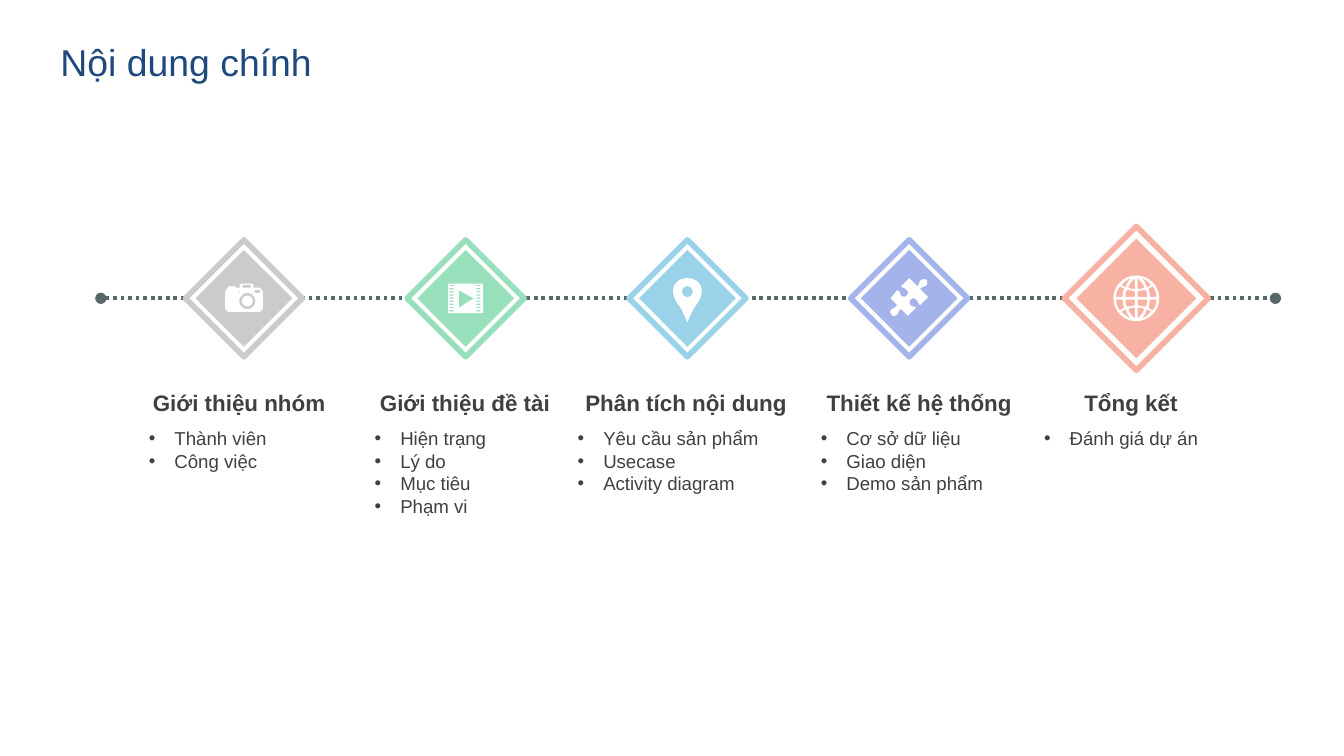
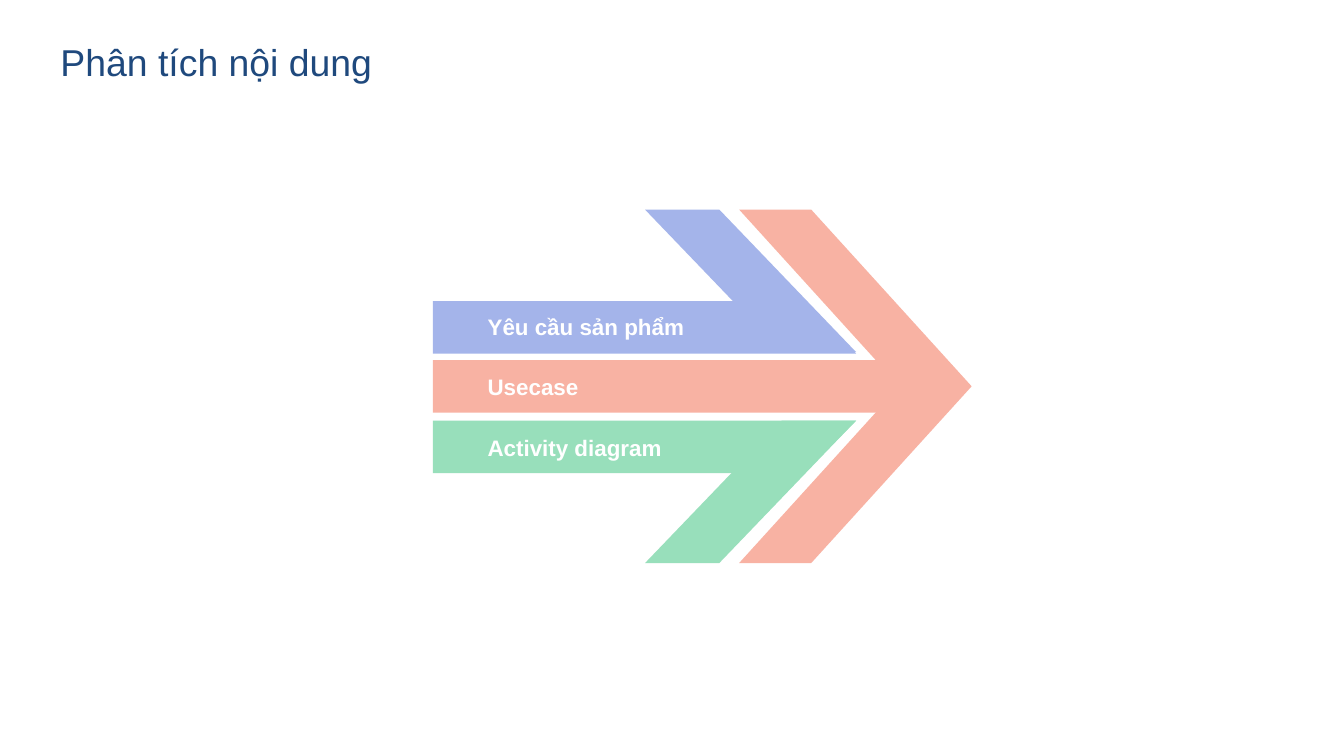
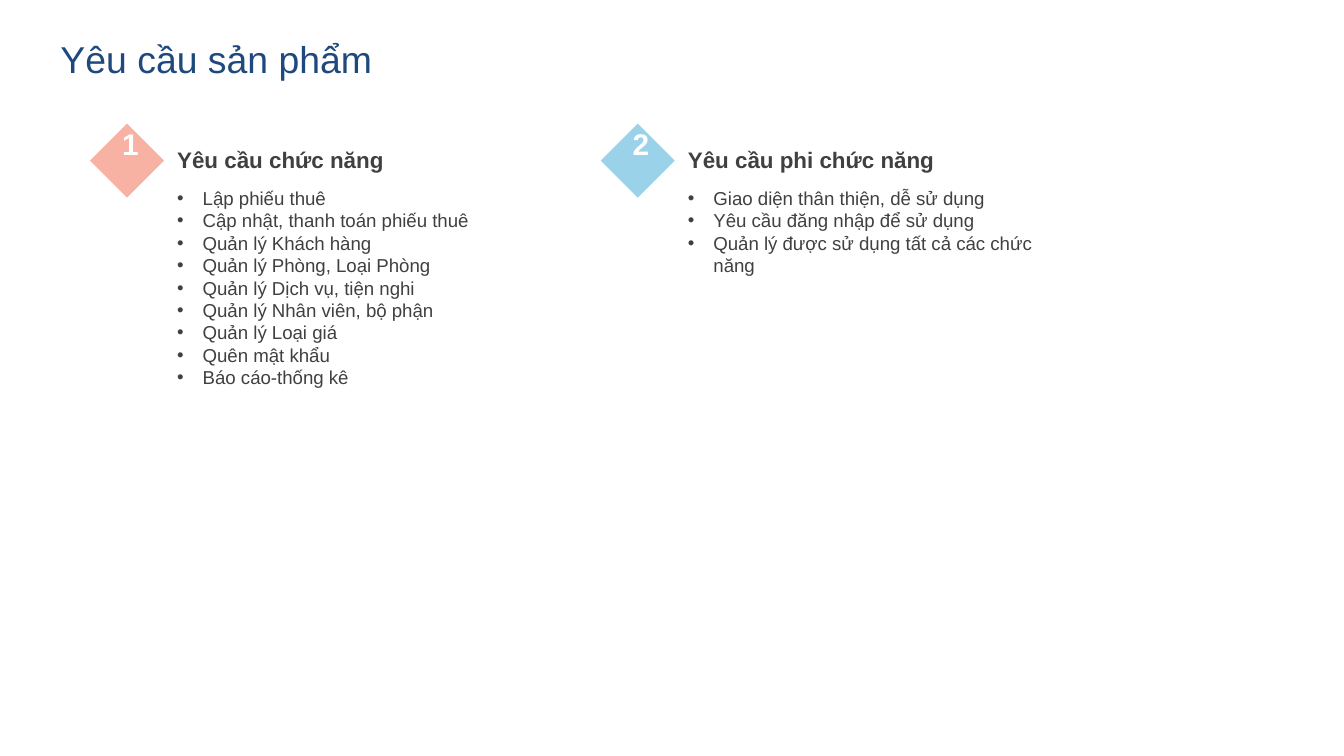
import dataclasses
import math
import typing

import pptx
import pptx.dml.color
import pptx.enum.dml
import pptx.enum.shapes
import pptx.enum.text
import pptx.oxml.ns
import pptx.oxml.xmlchemy
import pptx.util
import lxml.etree

SCALE = 9144  # EMU in a px, 100 px to the inch
FONT = "Arial"
INK = {
    "title": "1F497D", "text": "404040", "line": "576868", "white": "FFFFFF",
    "grey": "CBCBCB", "green": "98DFBB", "blue": "9AD3E9",
    "violet": "A4B4EA", "coral": "F8B2A3",
}
KIND = pptx.enum.shapes.MSO_SHAPE
ALIGN = pptx.enum.text.PP_ALIGN
Point = tuple[float, ...]  # x, y of a corner, or the six numbers of a curve
Ring = list[Point]


@dataclasses.dataclass
class Badge:
    left: int
    size: int
    core: int
    ink: str
    icon: list[Ring]


@dataclasses.dataclass
class Note:
    left: int
    width: int
    head: str
    items: list[str]


@dataclasses.dataclass
class Bar:
    label: str
    top: int


def px(val: float) -> pptx.util.Emu:
    return pptx.util.Emu(round(val * SCALE))


def rgb(ink: str) -> pptx.dml.color.RGBColor:
    return pptx.dml.color.RGBColor.from_string(INK[ink])


def add_tag(root: typing.Any, tag: str, **attrs: str) -> None:
    lxml.etree.SubElement(root, pptx.oxml.ns.qn(tag), attrs)


def style(para: typing.Any, size: int, ink: str, bold: bool = False) -> None:
    para.font.name = FONT
    para.font.size = pptx.util.Pt(size)
    para.font.bold = bold
    para.font.color.rgb = rgb(ink)


def paint(shape: typing.Any, ink: str, edge: str = "") -> None:
    shape.shadow.inherit = False
    shape.fill.solid()
    shape.fill.fore_color.rgb = rgb(ink)
    if edge:
        shape.line.color.rgb = rgb(edge)
        shape.line.width = pptx.util.Pt(3)
    else:
        shape.line.fill.background()


def add_form(slide: typing.Any, kind: KIND, left: float, top: float,
             wide: int, high: int, ink: str, edge: str = "") -> typing.Any:
    shape = slide.shapes.add_shape(kind, px(left), px(top), px(wide), px(high))
    paint(shape, ink, edge)
    return shape


def add_text(slide: typing.Any, left: int, top: int, wide: int, high: int,
             lines: list[str], size: int, ink: str, bold: bool = False,
             align: ALIGN = ALIGN.LEFT, dots: bool = False) -> typing.Any:
    frame = slide.shapes.add_textbox(px(left), px(top), px(wide), px(high)).text_frame
    frame.word_wrap = True
    frame.auto_size = pptx.enum.text.MSO_AUTO_SIZE.SHAPE_TO_FIT_TEXT
    frame.text = "\n".join(lines)
    for para in frame.paragraphs:
        para.alignment = align
        if dots:
            props = para._p.get_or_add_pPr()
            props.set("marL", str(px(19)))
            props.set("indent", str(px(-19)))
            add_tag(props, "a:buFont", typeface=FONT)
            add_tag(props, "a:buChar", char="•")
        style(para, size, ink, bold)
    return frame


def add_note(slide: typing.Any, note: Note, top: int, gap: int,
             align: ALIGN = ALIGN.LEFT) -> None:
    """Draw a bold heading with a bulleted list under it."""
    add_text(slide, note.left, top, note.width, 30, [note.head], 12, "text", True, align)
    add_text(slide, note.left, top + gap, note.width, 10 + 17 * len(note.items),
             note.items, 10, "text", dots=True)


def add_slide(deck: typing.Any, name: str, top: int = 14) -> typing.Any:
    slide = deck.slides.add_slide(deck.slide_layouts[5])
    title = slide.shapes.title
    title.left, title.top, title.width, title.height = px(35), px(top), px(964), px(63)
    frame = title.text_frame
    frame.text = name
    frame.word_wrap = True
    frame.auto_size = pptx.enum.text.MSO_AUTO_SIZE.NONE
    frame.vertical_anchor = pptx.enum.text.MSO_ANCHOR.MIDDLE
    frame.paragraphs[0].alignment = ALIGN.LEFT
    style(frame.paragraphs[0], 20, "title")
    return slide


def flat(ring: Ring) -> Ring:
    """Turn the curves of a ring into short straight steps."""
    out: Ring = []
    for item in ring:
        if len(item) == 2:
            out.append(item)
            continue
        knots = [out[-1], item[:2], item[2:4], item[4:]]
        for step in range(1, 9):
            t = step / 8
            mix = ((1 - t) ** 3, 3 * t * (1 - t) ** 2, 3 * t * t * (1 - t), t ** 3)
            out.append(tuple(sum(m * k[axis] for m, k in zip(mix, knots))
                             for axis in (0, 1)))
    return out


def add_free(slide: typing.Any, rings: list[Ring], ink: str,
             left: float = 0, top: float = 0) -> None:
    """Draw rings as one outline; inner rings are holes."""
    build = None
    for ring in rings:
        spots = [(px(left + x), px(top + y)) for x, y in flat(ring)]
        if build is None:
            build = slide.shapes.build_freeform(*spots[0])
        else:
            build.move_to(*spots[0])
        build.add_line_segments(spots[1:], close=True)
    paint(build.convert_to_shape(), ink)


def box(left: float, top: float, right: float, low: float) -> Ring:
    return [(left, top), (right, top), (right, low), (left, low)]


def disc(x: float, y: float, rad: float) -> Ring:
    turns = [math.tau * i / 32 for i in range(32)]
    return [(x + rad * math.cos(a), y + rad * math.sin(a)) for a in turns]


def camera() -> list[Ring]:
    body = [(-2, -11), (6, -11), (7, -10), (7, -8), (12, -8), (14, -5), (14, 8),
            (12, 10), (-12, 10), (-14, 8), (-14, -5), (-12, -8), (-11, -9),
            (-7, -9), (-6, -8), (-3, -8), (-3, -10)]
    return [body, box(-1, -10, 5, -8), box(-4, -5, -3, -4), box(8, -6, 12, -4),
            disc(2.5, 2, 6), disc(2.5, 2, 4)]


def film() -> list[Ring]:
    holes = [box(x, y, x + 3, y + 1)
             for x in (-12, 8) for y in (-10 + 7 * i / 3 for i in range(9))]
    return [box(-13, -11, 13, 11), [(-5, -6), (-5, 7), (6, 0)], *holes]


def pin() -> list[Ring]:
    drop = [(0, -15), (3, -15, 6, -14, 8, -12), (12, -8, 11, -2, 8, 3),
            (4, 8, 3, 11, 0, 18), (-3, 11, -4, 8, -8, 3),
            (-11, -2, -12, -8, -8, -12), (-6, -14, -3, -15, 0, -15)]
    return [drop, disc(0, -5, 4)]


def puzzle() -> list[Ring]:
    return [[
        (13, -14), (13, -13, 14, -11, 13, -10), (11, -8, 10, -9, 8, -7),
        (14, -1), (8, 5), (6, 3, 7, 2, 5, 1), (4, -1, 2, 0, 1, 1),
        (0, 2, 0, 4, 1, 5), (3, 7, 3, 5, 5, 7), (-1, 13), (-6, 8),
        (-9, 10, -7, 10, -9, 12), (-11, 14, -13, 13, -13, 12),
        (-14, 11, -15, 10, -13, 8), (-12, 7, -10, 7, -9, 5), (-14, 0), (-9, -6),
        (-6, -5, -7, -3, -6, -2), (-4, -1, -3, -1, -2, -2),
        (-1, -3, 0, -5, -2, -6), (-3, -8, -4, -7, -6, -9), (0, -15), (6, -9),
        (8, -11, 7, -11, 8, -13), (10, -15, 12, -14, 13, -14),
    ]]


def globe() -> list[Ring]:
    """Cut the four cells of one quarter, mirrored into all quarters."""
    cells = [
        [(1, 1), (8, 1), (8, 3, 8, 5, 7, 6), (5, 6, 3, 6, 1, 5)],
        [(10, 1), (15, 1), (15, 4, 14, 7, 12, 9), (11, 8, 10, 8, 9, 7),
         (10, 5, 10, 3, 10, 1)],
        [(1, 7), (3, 7, 4, 7, 6, 8), (5, 11, 3, 13, 1, 15)],
        [(4, 15), (7, 14, 9, 12, 11, 10), (10, 9, 9, 9, 8, 8), (7, 11, 6, 13, 4, 15)],
    ]
    holes = [[(x * sx, y * sy) for x, y in flat(cell)]
             for sx in (1, -1) for sy in (1, -1) for cell in cells]
    return [disc(0, 0, 17), *holes]


def add_line(slide: typing.Any, mid: int) -> None:
    line = slide.shapes.add_connector(
        pptx.enum.shapes.MSO_CONNECTOR.STRAIGHT, px(75), px(mid), px(949), px(mid))
    line.line.color.rgb = rgb("line")
    line.line.width = pptx.util.Pt(2)
    line.line.dash_style = pptx.enum.dml.MSO_LINE.ROUND_DOT
    props = line._element.spPr
    for end in ("a:headEnd", "a:tailEnd"):
        add_tag(props.find(pptx.oxml.ns.qn("a:ln")), end, type="oval")
    add_tag(props, "a:effectLst")


def add_badge(slide: typing.Any, badge: Badge, mid: int) -> None:
    cx = badge.left + badge.size / 2
    for size, ink, edge in ((badge.size, "white", badge.ink), (badge.core, badge.ink, "")):
        add_form(slide, KIND.DIAMOND, cx - size / 2, mid - size / 2, size, size, ink, edge)
    add_free(slide, badge.icon, "white", cx, mid)


def agenda(deck: typing.Any) -> None:
    slide = add_slide(deck, "Nội dung chính")
    mid = 222
    add_line(slide, mid)
    icons = [("grey", camera()), ("green", film()), ("blue", pin()), ("violet", puzzle())]
    badges = [Badge(138 + 165 * i, 87, 72, ink, icon)
              for i, (ink, icon) in enumerate(icons)]
    for badge in [*badges, Badge(792, 107, 89, "coral", globe())]:
        add_badge(slide, badge, mid)
    notes = [
        Note(101, 154, "Giới thiệu nhóm", ["Thành viên", "Công việc"]),
        Note(269, 154, "Giới thiệu đề tài", ["Hiện trạng", "Lý do", "Mục tiêu", "Phạm vi"]),
        Note(420, 181, "Phân tích nội dung",
             ["Yêu cầu sản phẩm", "Usecase", "Activity diagram"]),
        Note(601, 166, "Thiết kế hệ thống",
             ["Cơ sở dữ liệu", "Giao diện", "Demo sản phẩm"]),
        Note(767, 149, "Tổng kết", ["Đánh giá dự án"]),
    ]
    for note in notes:
        add_note(slide, note, 285, 28, ALIGN.CENTER)


def analysis(deck: typing.Any) -> None:
    slide = add_slide(deck, "Phân tích nội dung")
    mid = 288
    add_form(slide, KIND.RECTANGLE, 322, 268, 359, 39, "coral")
    head = add_form(slide, KIND.CHEVRON, 550, 156, 173, 263, "coral")
    head.adjustments[0] = 0.69
    for ink, side, top in (("green", 1, 313), ("violet", -1, 156)):
        near, far = mid + 25 * side, mid + 64 * side
        add_free(slide, [[(322, near), (637, near), (598, far), (322, far)]], ink)
        wing = add_form(slide, KIND.PARALLELOGRAM, 480, top, 157, 106, ink)
        wing.adjustments[0] = 0.96
        if side < 0:
            wing._element.spPr.find(pptx.oxml.ns.qn("a:xfrm")).set("flipH", "1")
    labels = ["Yêu cầu sản phẩm", "Usecase", "Activity diagram"]
    for bar in [Bar(label, 228 + 45 * i) for i, label in enumerate(labels)]:
        add_text(slide, 353, bar.top, 203, 30, [bar.label], 12, "white", True)


def needs(deck: typing.Any) -> None:
    slide = add_slide(deck, "Yêu cầu sản phẩm", 12)
    notes = [
        Note(122, 307, "Yêu cầu chức năng", [
            "Lập phiếu thuê", "Cập nhật, thanh toán phiếu thuê", "Quản lý Khách hàng",
            "Quản lý Phòng, Loại Phòng", "Quản lý Dịch vụ, tiện nghi",
            "Quản lý Nhân viên, bộ phận", "Quản lý Loại giá", "Quên mật khẩu",
            "Báo cáo-thống kê"]),
        Note(502, 307, "Yêu cầu phi chức năng", [
            "Giao diện thân thiện, dễ sử dụng", "Yêu cầu đăng nhập để sử dụng",
            "Quản lý được sử dụng tất cả các chức năng"]),
    ]
    for num, (note, ink) in enumerate(zip(notes, ("coral", "blue")), 1):
        left = note.left - 55
        add_form(slide, KIND.DIAMOND, left, 92, 55, 55, ink)
        frame = add_text(slide, left + 14, 104, 24, 32, [f"{num} "], 16, "white",
                         True, ALIGN.CENTER)
        frame.vertical_anchor = pptx.enum.text.MSO_ANCHOR.MIDDLE
        add_note(slide, note, 104, 30)


def main() -> None:
    deck = pptx.Presentation()
    deck.slide_width = px(1000)
    deck.slide_height = px(1000 * 9 / 16)
    agenda(deck)
    analysis(deck)
    needs(deck)
    deck.save("out.pptx")


if __name__ == "__main__":
    main()
